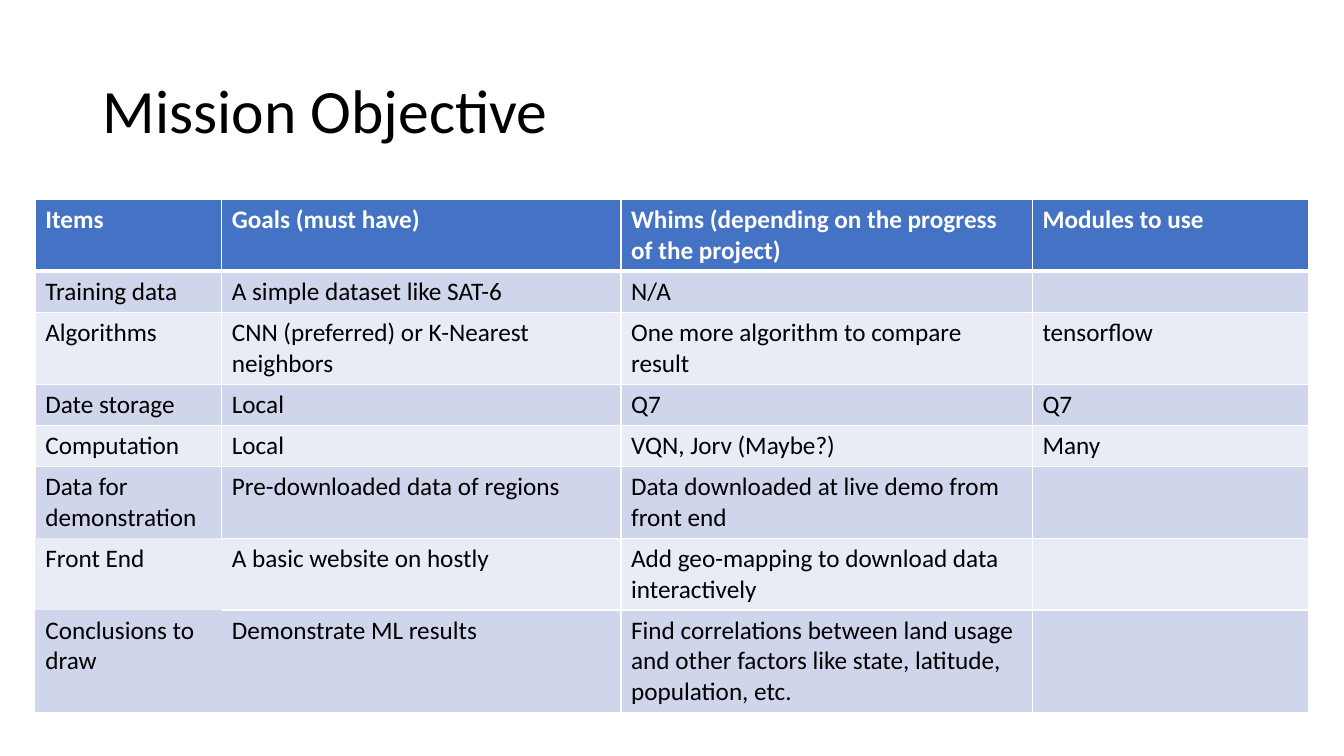
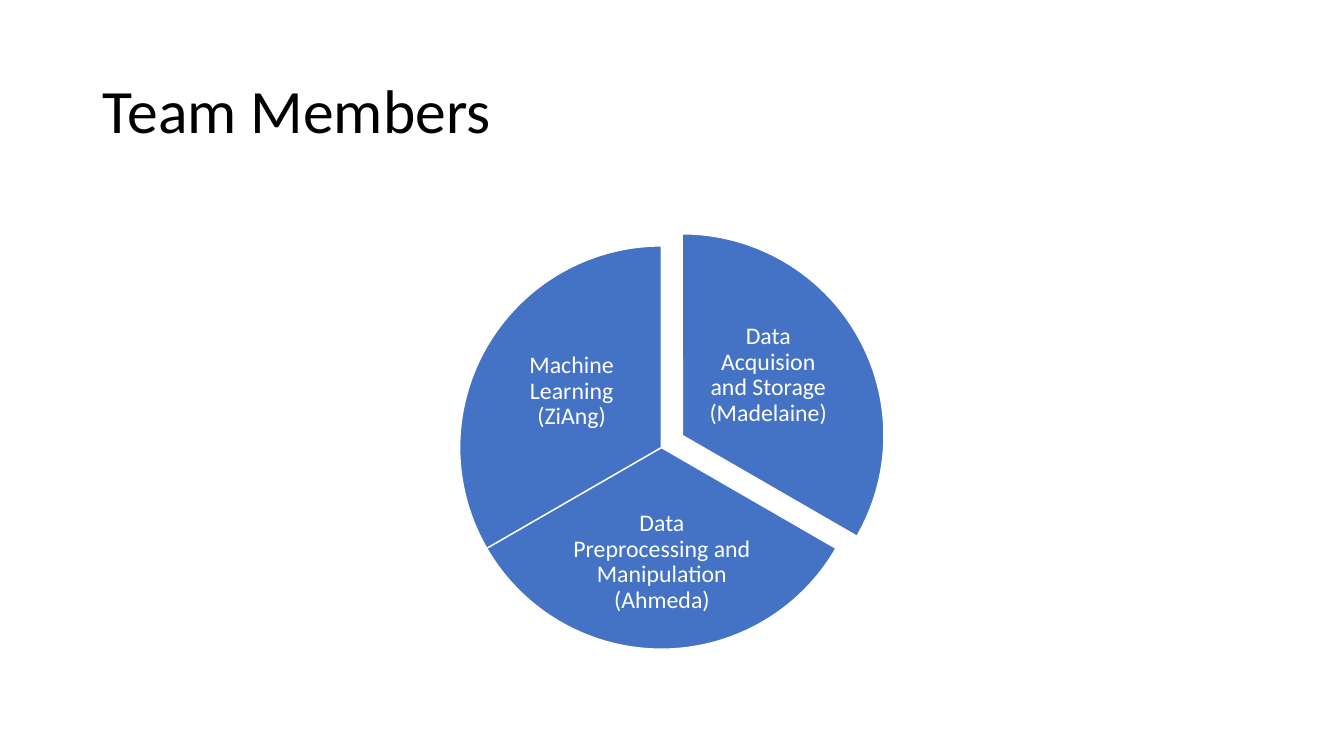
from dataclasses import dataclass
from math import cos, radians, sin

from lxml.etree import SubElement as Sub
from pptx import Presentation
from pptx.dml.color import RGBColor as Rgb
from pptx.enum.shapes import MSO_SHAPE as Shape
from pptx.enum.text import MSO_ANCHOR as Anchor, PP_ALIGN as Align
from pptx.oxml.ns import qn
from pptx.util import Inches, Pt


@dataclass(frozen=True)
class Theme:
    font: str = "Calibri"
    blue: str = "4472C4"
    dark: str = "CFD5EA"
    light: str = "E9EBF5"
    white: str = "FFFFFF"
    black: str = "000000"
    title: int = 44
    cell: int = 18
    label: int = 17
    thin: int = 1
    thick: int = 3


THEME = Theme()
WIDTHS = (1.85, 3.96, 4.08, 2.74)
ROW = 0.41
SIDE = 4
SWEEP = 120
GAP = 0.24
ROWS = (
    ("Items", "Goals (must have)",
     "Whims (depending on the progress of the project)", "Modules to use"),
    ("Training data", "A simple dataset like SAT-6", "N/A", ""),
    ("Algorithms", "CNN (preferred) or K-Nearest neighbors",
     "One more algorithm to compare result", "tensorflow"),
    ("Date storage", "Local", "Q7", "Q7"),
    ("Computation", "Local ", "VQN, Jorv (Maybe?)", "Many "),
    ("Data for demonstration", "Pre-downloaded data of regions",
     "Data downloaded at live demo from front end", ""),
    ("Front End", "A basic website on hostly",
     "Add geo-mapping to download data interactively", ""),
    ("Conclusions to draw", "Demonstrate ML results ",
     "Find correlations between land usage and other factors like state, "
     "latitude, population, etc.", ""),
)
BARE = {(5, 0): "B", (6, 0): "LRTB", (7, 0): "LRTB", (6, 1): "L", (7, 1): "L"}
TEAM = (
    ("Data Acquision and Storage (Madelaine)", (6.94, 3.06, 1.36, 1.33), GAP),
    ("Data Preprocessing and Manipulation (Ahmeda)",
     (5.66, 4.96, 1.81, 1.24), 0),
    ("Machine Learning (ZiAng)", (4.99, 3.22, 1.36, 1.33), 0),
)


def write(frame, text, size, color=THEME.black, bold=False, align=Align.LEFT,
          space=None):
    frame.word_wrap = True
    para = frame.paragraphs[0]
    para.alignment = align
    para.line_spacing = space
    para.font.size = Pt(size)
    if not text:
        return
    run = para.add_run()
    run.text = text
    font = run.font
    font.name, font.size, font.bold = THEME.font, Pt(size), bold
    font.color.rgb = Rgb.from_string(color)


def paint(fill, color):
    fill.solid()
    fill.fore_color.rgb = Rgb.from_string(color)


def start(deck, text):
    slide = deck.slides.add_slide(deck.slide_layouts[5])
    title = slide.shapes.title
    title.left, title.top = Inches(0.92), Inches(0.4)
    title.width, title.height = Inches(11.5), Inches(1.45)
    title.text_frame.vertical_anchor = Anchor.MIDDLE
    write(title.text_frame, text, THEME.title, space=0.9)
    return slide


def edge(cell, side, width, color):
    line = Sub(cell._tc.get_or_add_tcPr(), qn(f"a:ln{side}"), w=str(Pt(width)))
    if color:
        Sub(Sub(line, qn("a:solidFill")), qn("a:srgbClr"), val=color)
    else:
        Sub(line, qn("a:noFill"))


def fill_cell(cell, text, row, col):
    head = row == 0
    for side in "LRTB":
        wide = (row, side) in ((0, "B"), (1, "T"))
        bare = side in BARE.get((row, col), "")
        edge(cell, side, THEME.thick if wide else THEME.thin,
             None if bare else THEME.white)
    band = THEME.dark if row % 2 else THEME.light
    paint(cell.fill, THEME.blue if head else band)
    write(cell.text_frame, text, THEME.cell, bold=head,
          color=THEME.white if head else THEME.black)


def add_grid(slide):
    frame = slide.shapes.add_table(
        len(ROWS), len(WIDTHS), Inches(0.35), Inches(1.98),
        Inches(sum(WIDTHS)), Inches(ROW * len(ROWS)))
    table = frame.table
    for col, width in enumerate(WIDTHS):
        table.columns[col].width = Inches(width)
    for row, texts in enumerate(ROWS):
        table.rows[row].height = Inches(ROW)
        for col, text in enumerate(texts):
            fill_cell(table.cell(row, col), text, row, col)


def add_slice(slide, index, shift):
    first = (270 + index * SWEEP) % 360
    mid = radians(first + SWEEP / 2)
    pie = slide.shapes.add_shape(
        Shape.PIE, Inches(4.56 + shift * cos(mid)),
        Inches(2.44 + shift * sin(mid)), Inches(SIDE), Inches(SIDE))
    pie.adjustments[0] = first * 0.6
    pie.adjustments[1] = (first + SWEEP) % 360 * 0.6
    pie.shadow.inherit = False
    paint(pie.fill, THEME.blue)
    paint(pie.line.fill, THEME.white)
    pie.line.width = Pt(THEME.thin)


def add_label(slide, text, area):
    frame = slide.shapes.add_textbox(*map(Inches, area)).text_frame
    frame.margin_left = frame.margin_right = Inches(0.02)
    frame.margin_top = frame.margin_bottom = Inches(0.02)
    frame.vertical_anchor = Anchor.MIDDLE
    write(frame, text, THEME.label, color=THEME.white, align=Align.CENTER,
          space=0.9)


def main():
    deck = Presentation()
    deck.slide_width, deck.slide_height = Inches(13.33), Inches(7.5)
    add_grid(start(deck, "Mission Objective"))
    team = start(deck, "Team Members")
    for index, (text, area, shift) in enumerate(TEAM):
        add_slice(team, index, shift)
        add_label(team, text, area)
    deck.save("out.pptx")


main()
